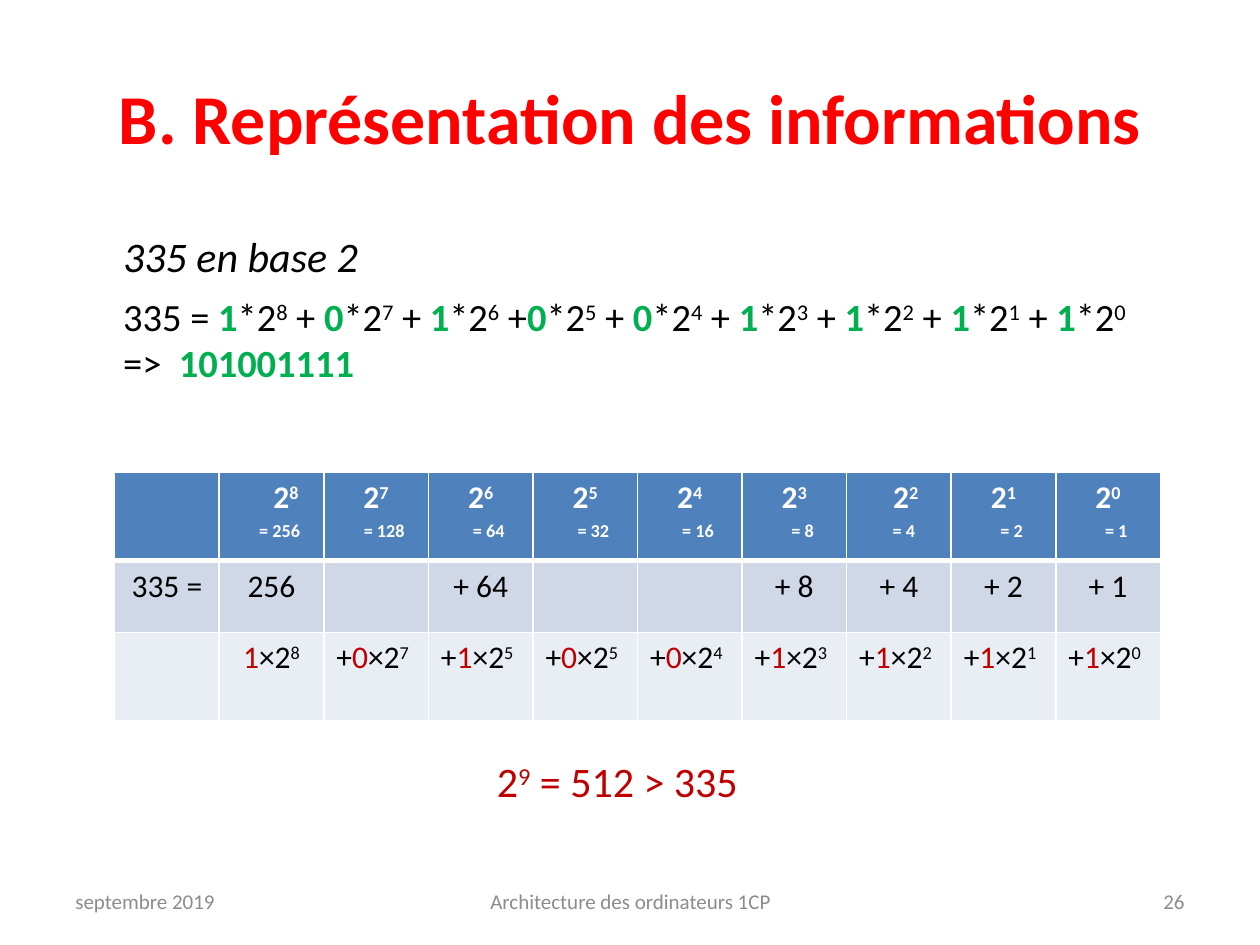
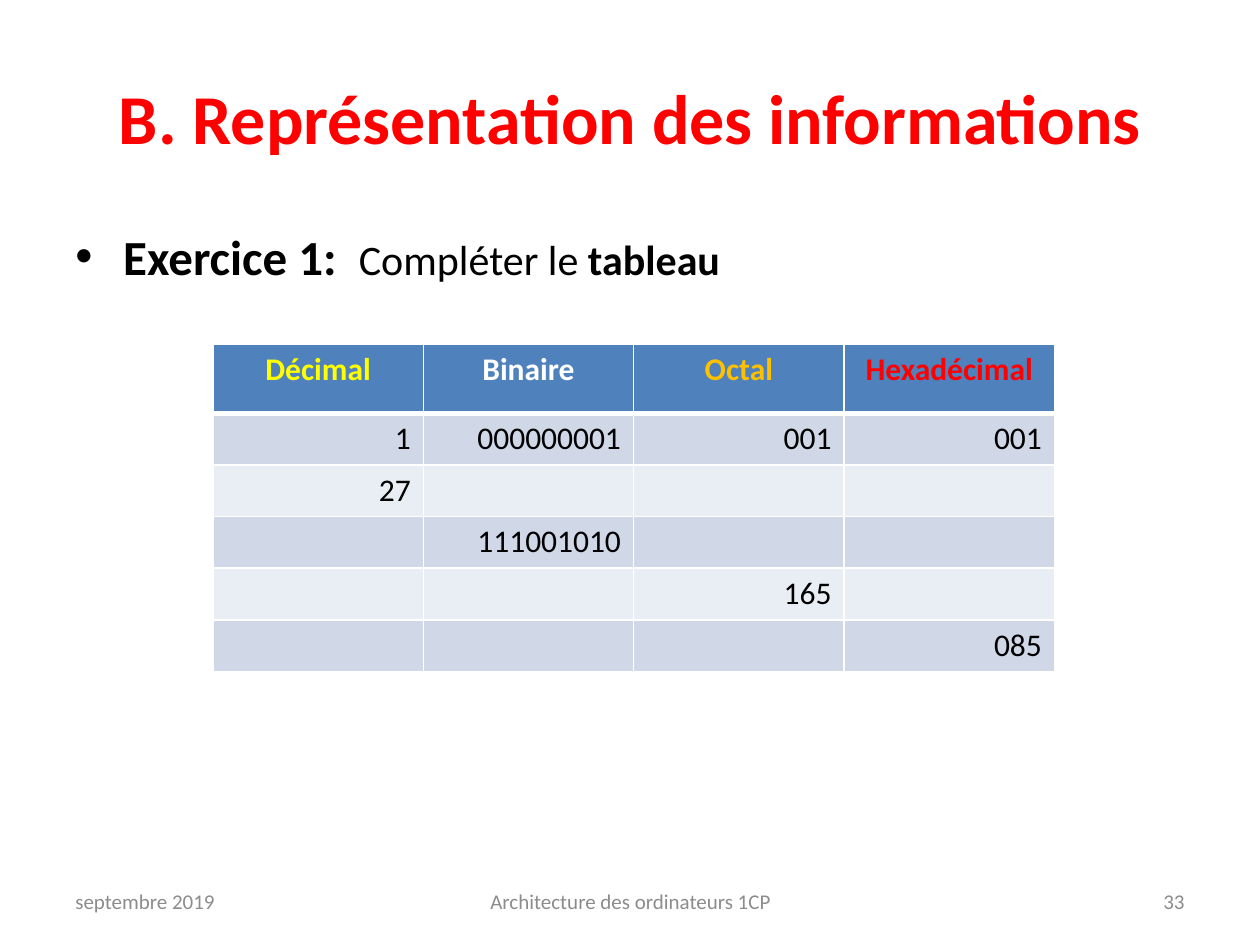
from lxml.etree import SubElement
from pptx import Presentation
from pptx.dml.color import RGBColor
from pptx.enum.text import MSO_ANCHOR, PP_ALIGN
from pptx.oxml.ns import qn
from pptx.util import Inches, Pt

COLORS = {"title": "FF0000", "text": "000000", "bit": "00B050", "digit": "C00000",
          "footer": "8C8C8C", "white": "FFFFFF", "header": "4F81BD",
          "band1": "D0D8E8", "band2": "E9EDF4", "yellow": "FFFF00", "orange": "FFC000"}
FONT = "Calibri"
LEFT, CENTER, RIGHT = PP_ALIGN.LEFT, PP_ALIGN.CENTER, PP_ALIGN.RIGHT
SUP = {"sup": True}


def write(p, runs, align=LEFT, margin=0, indent=0, **base):
    """Fill a paragraph with (text, format) runs, each format laid over base."""
    p.alignment = align
    pPr = p._p.get_or_add_pPr()
    pPr.set("marL", str(Inches(margin)))
    pPr.set("indent", str(Inches(indent)))
    for text, fmt in runs:
        r = p.add_run()
        r.text = text
        values = {"name": FONT, "size": 18, "color": "text", "bold": False, **base, **fmt}
        if values.pop("sup", False):
            r._r.get_or_add_rPr().set("baseline", "30000")
        r.font.color.rgb = RGBColor.from_string(COLORS[values.pop("color")])
        values["size"] = Pt(values["size"])
        for name, value in values.items():
            setattr(r.font, name, value)


def add_grid(slide, left, top, col_width, n_cols, heights):
    """Add a banded table with white rules, thicker under the header."""
    table = slide.shapes.add_table(len(heights), n_cols, Inches(left), Inches(top),
                                   Inches(col_width * n_cols), Inches(sum(heights))).table
    for col in table.columns:
        col.width = Inches(col_width)
    for i, height in enumerate(heights):
        table.rows[i].height = Inches(height)
        fill = "header" if i == 0 else "band1" if i % 2 else "band2"
        for cell in table.rows[i].cells:
            tcPr = cell._tc.get_or_add_tcPr()
            for side in "LRTB":
                thick = (i, side) in ((0, "B"), (1, "T"))
                ln = SubElement(tcPr, qn(f"a:ln{side}"), w=str(Pt(3 if thick else 1)))
                SubElement(SubElement(ln, qn("a:solidFill")), qn("a:srgbClr"), val=COLORS["white"])
            cell.fill.solid()
            cell.fill.fore_color.rgb = RGBColor.from_string(COLORS[fill])
    return table


prs = Presentation()
prs.slide_width, prs.slide_height = Inches(10), Inches(7.5)

# Binary expansion of 335
bits = "101001111"
powers = range(8, -1, -1)
expansion = [("335 = ", {})]
for bit, n in zip(bits, powers):
    plus = "" if n == 0 else " +" if n == 6 else " + "
    expansion += [(bit, {"color": "bit", "bold": True}), ("*2", {}), (str(n), SUP), (plus, {})]
expansion += [(" => ", {}), (f" {bits}", {"color": "bit", "bold": True})]

base2_lines = [([("335 en base 2", {})], {"margin": 0.38, "size": 24, "italic": True}),
               (expansion, {"margin": 0.38, "size": 22})]
bound_line = [([("2", {}), ("9", SUP), (" = 512 ˃ 335", {})],
               {"align": CENTER, "size": 24, "color": "digit"})]
exercise_line = [([("Exercice 1:  ", {"size": 28, "bold": True}), ("Compléter le ", {}),
                   ("tableau", {"bold": True})], {"margin": 0.38, "indent": -0.38, "size": 24})]

# Number of each slide, with its text boxes: left, top, width, height, lines
pages = [(26, [(0.5, 1.78, 8.7, 1.7, base2_lines), (2.4, 5.95, 5, 0.5, bound_line)]),
         (33, [(0.5, 1.75, 9, 0.7, exercise_line)])]
slides = []
for number, boxes in pages:
    slide = prs.slides.add_slide(prs.slide_layouts[5])
    slides.append(slide)
    title = slide.shapes.title
    title.left, title.top, title.width, title.height = map(Inches, (0.5, 0.3, 9, 1.25))
    title.text_frame.vertical_anchor = MSO_ANCHOR.MIDDLE
    write(title.text_frame.paragraphs[0], [("B. Représentation des informations", {})],
          CENTER, size=40, color="title", bold=True)
    footers = [(0.5, 2.33, "septembre 2019", LEFT),
               (3.42, 3.17, "Architecture des ordinateurs 1CP", CENTER),
               (7.17, 2.33, str(number), RIGHT)]
    for left, width, text, align in footers:
        line = ([(text, {})], {"align": align, "size": 12, "color": "footer"})
        boxes.append((left, 6.95, width, 0.4, [line]))
    for left, top, width, height, lines in boxes:
        tf = slide.shapes.add_textbox(*map(Inches, (left, top, width, height))).text_frame
        tf.word_wrap = True
        tf.vertical_anchor = MSO_ANCHOR.MIDDLE if top == 6.95 else MSO_ANCHOR.TOP
        for i, (runs, fmt) in enumerate(lines):
            p = tf.add_paragraph() if i else tf.paragraphs[0]
            p.space_before = Pt(7 if i else 0)
            write(p, runs, **fmt)
            if fmt.get("indent"):
                SubElement(p._p.pPr, qn("a:buFont"), typeface="Arial")
                SubElement(p._p.pPr, qn("a:buChar"), char="•")

# Table of powers of two
table = add_grid(slides[0], 0.91, 3.75, 0.83, 10, [0.7, 0.57, 0.7])
write(table.cell(1, 0).text_frame.paragraphs[0], [("335 =", {})], CENTER)
power_margins = {8: 0.23, 2: 0.11}
for col, (bit, n) in enumerate(zip(bits, powers), start=1):
    tf = table.cell(0, col).text_frame
    header = {"align": CENTER, "color": "white", "bold": True}
    write(tf.paragraphs[0], [("2", {}), (str(n), SUP)], margin=power_margins.get(n, 0), **header)
    write(tf.add_paragraph(), [(f"= {2 ** n}", SUP)], margin=0.08 if n == 2 else 0.13, **header)
    first = col == 1
    if bit == "1":
        write(table.cell(1, col).text_frame.paragraphs[0],
              [(f"{'' if first else '+ '}{2 ** n}", {})], CENTER)
    exponent = 5 if n == 6 else n  # the sixth power is shown as 5 in this row
    term = [(bit, {"color": "digit"}), ("×2", {}), (str(exponent), SUP)]
    write(table.cell(2, col).text_frame.paragraphs[0],
          term if first else [("+", {})] + term, CENTER if first else LEFT)

# Conversion exercise
headings = [("Décimal", "yellow"), ("Binaire", "white"), ("Octal", "orange"),
            ("Hexadécimal", "title")]
rows = [("1", "000000001", "001", "001"), ("27", "", "", ""), ("", "111001010", "", ""),
        ("", "", "165", ""), ("", "", "", "085")]
table = add_grid(slides[1], 1.69, 2.73, 1.67, 4, [0.55] + [0.41] * len(rows))
for col, (text, color) in enumerate(headings):
    write(table.cell(0, col).text_frame.paragraphs[0], [(text, {})], CENTER, color=color, bold=True)
for i, row in enumerate(rows, start=1):
    for col, text in enumerate(row):
        if text:
            write(table.cell(i, col).text_frame.paragraphs[0], [(text, {})], RIGHT)

prs.save("out.pptx")
